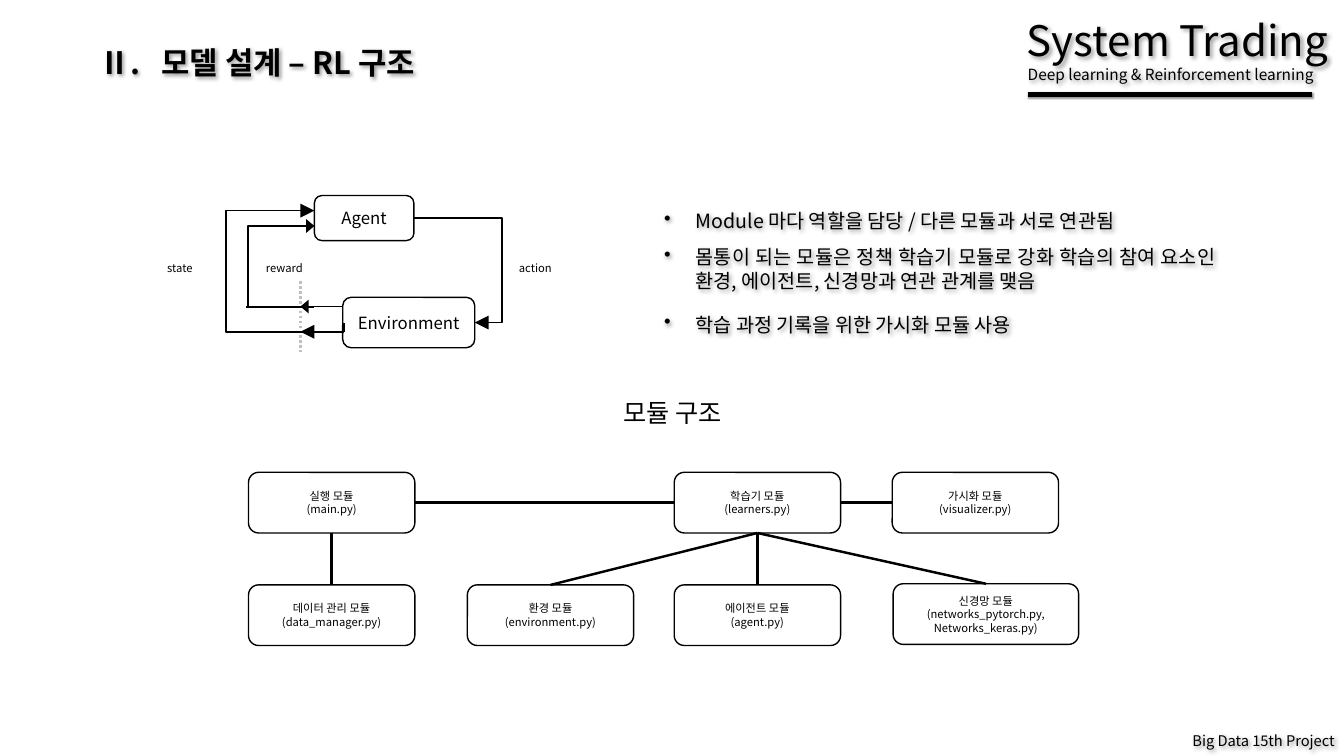
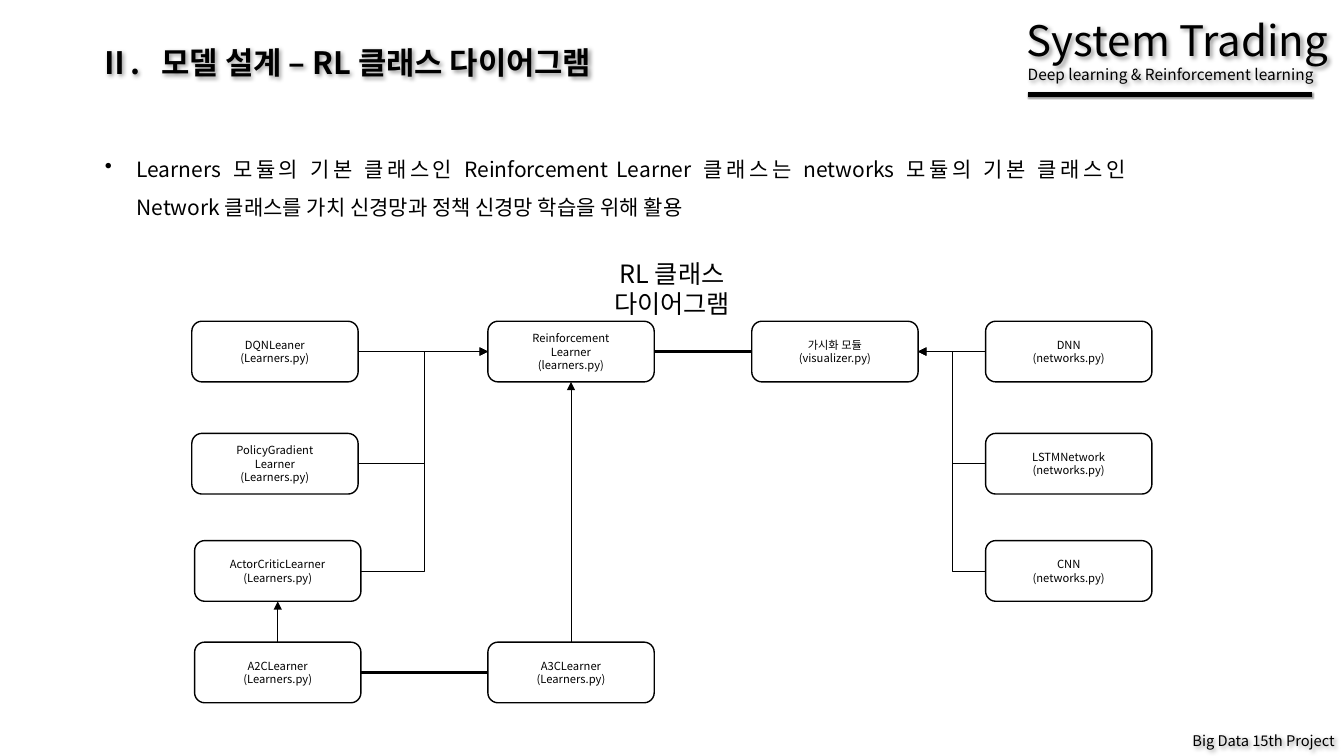
import pptx
import pptx.dml.color
import pptx.enum.dml
import pptx.enum.shapes
import pptx.enum.text
import pptx.oxml
import pptx.oxml.ns
import pptx.util
from lxml import etree

Pt = pptx.util.Pt
qn = pptx.oxml.ns.qn
ALIGN = pptx.enum.text.PP_ALIGN
ANCHOR = pptx.enum.text.MSO_ANCHOR
SHAPE = pptx.enum.shapes.MSO_SHAPE
CONNECTOR = pptx.enum.shapes.MSO_CONNECTOR
TOP, LEFT, BOTTOM, RIGHT = range(4)

COLOURS = {"ink": "000000", "paper": "FFFFFF", "divider": "BFBFBF"}
FONT = "Noto Sans CJK KR"
LINE_HEIGHT = 1.2
MODULE_SIZE = (118.8, 43.3)
NO_BREAK = chr(160)


def colour(name):
    return pptx.dml.color.RGBColor.from_string(COLOURS[name])


def side(box, site):
    """Middle of one side of a box, in points."""
    x, y, width, height = (v.pt for v in (box.left, box.top, box.width, box.height))
    return {TOP: (x + width / 2, y), LEFT: (x, y + height / 2),
            BOTTOM: (x + width / 2, y + height), RIGHT: (x + width, y + height / 2)}[site]


class Board:
    """The shared style and the slide being drawn."""

    def __init__(self):
        self.deck = pptx.Presentation()
        self.deck.slide_width, self.deck.slide_height = Pt(960), Pt(540)
        self.page = None

    # Slide frame
    def new_page(self, title, title_width):
        self.page = self.deck.slides.add_slide(self.deck.slide_layouts[6])
        self.text((64, 23.8, title_width, 34), title, 22, bold=True, tab=44.3,
                  inset=7.2, shadow=True)
        self.text((726.5, 6.5, 257, 42.5), "System Trading", 30, spacing=0.9,
                  inset=7.2, shadow=True)
        self.text((727, 41.7, 246, 21.6), "Deep learning & Reinforcement learning", 11,
                  spacing=0.9, inset=7.2, shadow=True)
        self.line((734.4, 67.7), (937.4, 67.7), 3.5, shadow=True)
        self.text((737.3, 518.4, 223.2, 18.7), "Big Data 15th Project", 10.5, spacing=0.9,
                  align=ALIGN.RIGHT, inset=7.2, shadow=True)

    # Text
    def style(self, para, size, align, spacing=1, bold=False):
        para.alignment = align
        para.line_spacing = Pt(round(size * LINE_HEIGHT * spacing, 2))
        font = para.font
        font.size, font.bold, font.name = Pt(size), bold, FONT
        font.color.rgb = colour("ink")
        latin = para._p.pPr.find(qn("a:defRPr")).find(qn("a:latin"))
        latin.addnext(etree.Element(qn("a:ea"), typeface=FONT))

    def frame(self, place, inset=3.6, wrap=True, shadow=False):
        box = self.page.shapes.add_textbox(*map(Pt, place))
        frame = box.text_frame
        frame.word_wrap = wrap
        frame.margin_top = frame.margin_bottom = Pt(inset)
        if shadow:
            self.effects(box, 3, 1.5)
        return frame

    def text(self, place, words, size, align=ALIGN.LEFT, spacing=1, bold=False, tab=0,
             **options):
        para = self.frame(place, **options).paragraphs[0]
        para.text = words
        if tab:
            stops = etree.SubElement(para._p.get_or_add_pPr(), qn("a:tabLst"))
            etree.SubElement(stops, qn("a:tab"), pos=str(Pt(tab)), algn="l")
        self.style(para, size, align, spacing, bold)

    def bullets(self, frame, items, size):
        """Each item is (text, line spacing, space before)."""
        for index, (words, spacing, before) in enumerate(items):
            para = frame.add_paragraph() if index else frame.paragraphs[0]
            para.text = words
            props = para._p.get_or_add_pPr()
            props.set("marL", str(Pt(22.5)))
            props.set("indent", str(-Pt(22.5)))
            etree.SubElement(props, qn("a:buChar"), char="•")
            self.style(para, size, ALIGN.JUSTIFY, spacing)
            if before:
                para.space_before = Pt(before)

    # Boxes
    def panel(self, place, shape=SHAPE.ROUNDED_RECTANGLE):
        panel = self.page.shapes.add_shape(shape, *map(Pt, place))
        panel.shadow.inherit = False
        panel.fill.solid()
        panel.fill.fore_color.rgb = colour("paper")
        panel.line.fill.background()
        panel.text_frame.word_wrap = True
        panel.text_frame.vertical_anchor = ANCHOR.MIDDLE
        return panel

    def heading(self, place, words, wrap):
        frame = self.panel(place, SHAPE.RECTANGLE).text_frame
        frame.text = words
        frame.word_wrap = wrap
        frame.vertical_anchor = ANCHOR.TOP
        frame.margin_left = frame.margin_right = Pt(18)
        self.style(frame.paragraphs[0], 18, ALIGN.CENTER)

    def box(self, place, words, size=8):
        box = self.panel(place)
        box.line.color.rgb = colour("ink")
        box.line.width = Pt(1)
        box.text_frame.text = words
        for para in box.text_frame.paragraphs:
            self.style(para, size, ALIGN.CENTER)
        return box

    def module(self, x, y, words, width=MODULE_SIZE[0]):
        return self.box((x, y, width, MODULE_SIZE[1]), words)

    # Lines
    def effects(self, shape, blur=0, distance=0):
        effects = etree.SubElement(shape._element.spPr, qn("a:effectLst"))
        if blur:
            shadow = etree.SubElement(effects, qn("a:outerShdw"), blurRad=str(Pt(blur)),
                                      dist=str(Pt(distance)), dir="2700000", algn="tl",
                                      rotWithShape="0")
            tint = etree.SubElement(shadow, qn("a:srgbClr"), val=COLOURS["ink"])
            etree.SubElement(tint, qn("a:alpha"), val="40000")

    def line(self, start, end, width, head=None, ink="ink", dotted=False, shadow=False,
             kind=CONNECTOR.STRAIGHT):
        """The head is a pair: arrowhead width and length."""
        line = self.page.shapes.add_connector(kind, *map(Pt, (*start, *end)))
        line.line.color.rgb = colour(ink)
        line.line.width = Pt(width)
        if dotted:
            line.line.dash_style = pptx.enum.dml.MSO_LINE.ROUND_DOT
        if head:
            etree.SubElement(line.line._get_or_add_ln(), qn("a:tailEnd"), type="triangle",
                             w=head[0], len=head[1])
        self.effects(line, *((1, 0.5) if shadow else ()))
        return line

    def join(self, first, first_site, second, second_site, width=1.75, head=None):
        line = self.line(side(first, first_site), side(second, second_site), width, head)
        line.begin_connect(first, first_site)
        line.end_connect(second, second_site)

    def elbow(self, start, end, bend_x, width, head):
        """Arrow that runs level, turns at bend_x, then runs level again."""
        line = self.line(start, end, width, head, kind=CONNECTOR.ELBOW)
        share = round((bend_x - start[0]) / (end[0] - start[0]) * 100000)
        guides = line._element.spPr.find(qn("a:prstGeom")).get_or_add_avLst()
        etree.SubElement(guides, qn("a:gd"), name="adj1", fmla=f"val {share}")


MEDIUM, WIDE, LARGE = ("med", "med"), ("lg", "med"), ("lg", "lg")


def structure_page(board):
    board.new_page("Ⅱ.\t모델 설계 – RL 구조", 318)
    board.bullets(board.frame((467.3, 137.5, 408.5, 107), shadow=True), [
        ("Module 마다 역할을 담당 / 다른 모듈과 서로 연관됨", 1.5, 0),
        ("몸통이 되는 모듈은 정책 학습기 모듈로 강화 학습의 참여 요소인 "
         "환경, 에이전트, 신경망과 연관 관계를 맺음", 1, 9),
        ("학습 과정 기록을 위한 가시화 모듈 사용", 1.5, 6),
    ], 14)

    # Agent and environment loop
    environment = board.box((244.8, 212.4, 94.3, 36), "Environment", 12)
    agent = board.box((224.6, 139.7, 71.1, 32.2), "Agent", 12)
    for x, words in ((112.3, "state"), (182.9, "reward"), (363.6, "action")):
        board.text((x, 183, 44, 19.4), words, 8, wrap=False)
    reward_y, state_y, divider_x, state_x = 219, 237, 214.6, 245.5
    board.elbow(side(agent, RIGHT), side(environment, RIGHT), 358.6, 1.25, LARGE)
    for y, head in ((reward_y, WIDE), (state_y, LARGE)):
        board.line((244.8, y), (divider_x, y), 1.25, head)
    board.line((divider_x, 201), (divider_x, 251.3), 1.75, ink="divider", dotted=True)
    board.elbow((177, reward_y), (224.6, 161.5), 177, 1.25, WIDE)
    board.line((175.7, reward_y), (224, reward_y), 1.5)
    board.line((state_x, 231), (state_x, state_y), 1.25)
    board.elbow((state_x, state_y), (224.6, 150.5), 161.5, 1.25, LARGE)

    # Module tree
    board.heading((436.3, 280, 87.8, 28.8), "모듈 구조", wrap=False)
    upper, lower = 337.4, 417.8
    main = board.module(177.5, upper, "실행 모듈\n(main.py)")
    data = board.module(177.5, lower, "데이터 관리 모듈\n(data_manager.py)")
    surroundings = board.module(333.8, lower, "환경 모듈\n(environment.py)")
    agent_module = board.module(481.6, lower, "에이전트 모듈\n(agent.py)")
    networks = board.module(638, 417, "신경망 모듈\n(networks_pytorch.py,\nNetworks_keras.py)", 132.5)
    learners = board.module(481.6, upper, "학습기 모듈\n(learners.py)")
    visualizer = board.module(637.3, upper, "가시화 모듈\n(visualizer.py)")
    board.join(main, BOTTOM, data, TOP)
    for child in (surroundings, agent_module, networks):
        board.join(learners, BOTTOM, child, TOP)
    board.join(learners, RIGHT, visualizer, LEFT)
    board.join(main, RIGHT, learners, LEFT)


def class_page(board):
    board.new_page("Ⅱ.\t모델 설계 – RL 클래스 다이어그램", 366)
    summary = board.panel((64, 89.3, 751, 80.6))
    board.bullets(summary.text_frame, [
        ("Learners 모듈의 기본 클래스인 Reinforcement Learner 클래스는 networks 모듈의 기본 "
         f"클래스인 Network{NO_BREAK}클래스를 가치 신경망과 정책 신경망 학습을 위해 활용", 1.5, 0),
    ], 15)
    board.heading((389.3, 180.7, 181.4, 28.8), "RL 클래스 다이어그램", wrap=True)

    # Classes
    rows = (229.5, 309.6, 386.2, 458.7)
    dqn = board.module(137, rows[0], "DQNLeaner\n(Learners.py)")
    policy = board.module(137, rows[1], "PolicyGradient\nLearner\n(Learners.py)")
    critic = board.module(139, rows[2], "ActorCriticLearner\n(Learners.py)")
    a2c = board.module(139, rows[3], "A2CLearner\n(Learners.py)")
    a3c = board.module(348.5, rows[3], "A3CLearner\n(Learners.py)")
    base = board.module(348.5, rows[0], "Reinforcement\nLearner\n(learners.py)")
    visualizer = board.module(537, rows[0], "가시화 모듈\n(visualizer.py)")
    dnn, lstm, cnn = (board.module(704, y, f"{name}\n(networks.py)")
                      for y, name in zip(rows, ("DNN", "LSTMNetwork", "CNN")))

    # Relations
    board.join(base, RIGHT, visualizer, LEFT)
    board.join(a2c, RIGHT, a3c, LEFT)
    for first, first_site, second, second_site in (
            (a2c, TOP, critic, BOTTOM), (a3c, TOP, base, BOTTOM),
            (dqn, RIGHT, base, LEFT), (dnn, LEFT, visualizer, RIGHT)):
        board.join(first, first_site, second, second_site, 0.5, MEDIUM)
    for child in (policy, critic):
        board.elbow(side(child, RIGHT), side(base, LEFT), 303, 0.5, MEDIUM)
    for child in (lstm, cnn):
        board.elbow(side(child, LEFT), side(visualizer, RIGHT), 680, 0.5, MEDIUM)


def main():
    board = Board()
    structure_page(board)
    class_page(board)
    board.deck.save("out.pptx")


if __name__ == "__main__":
    main()
